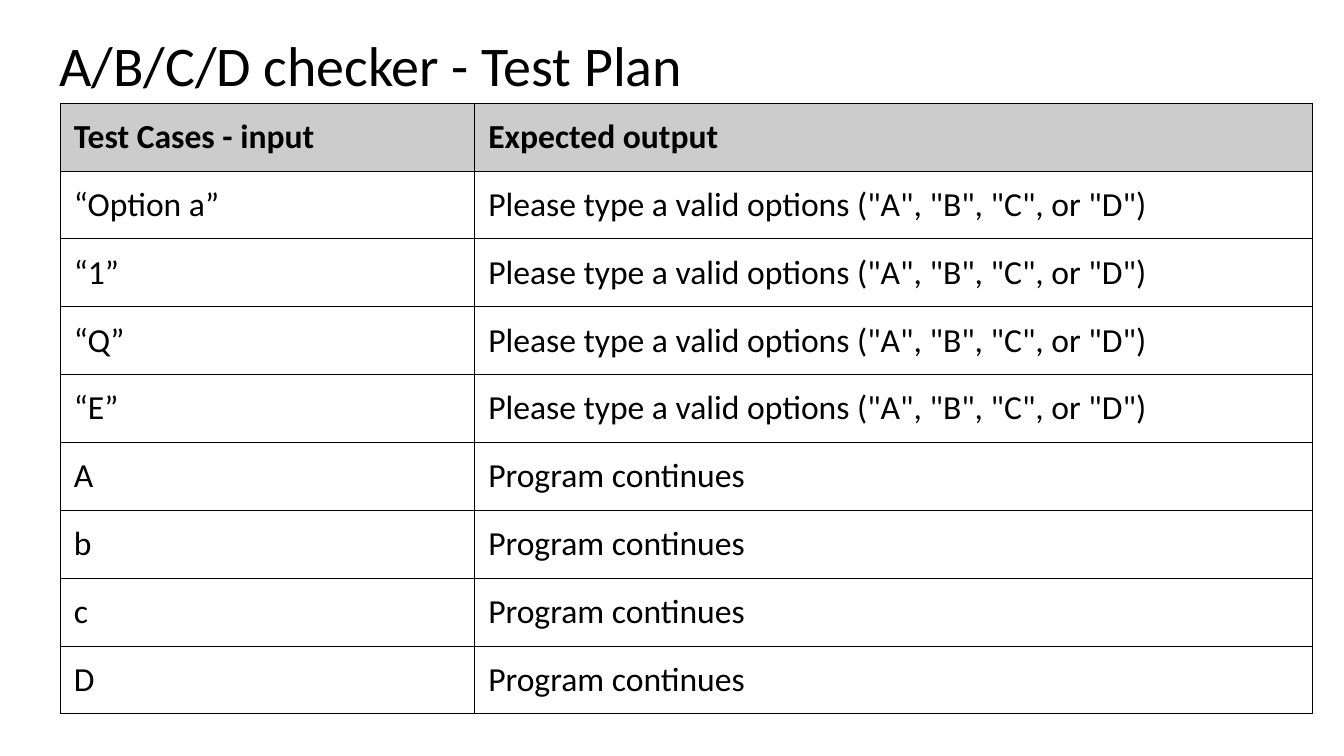
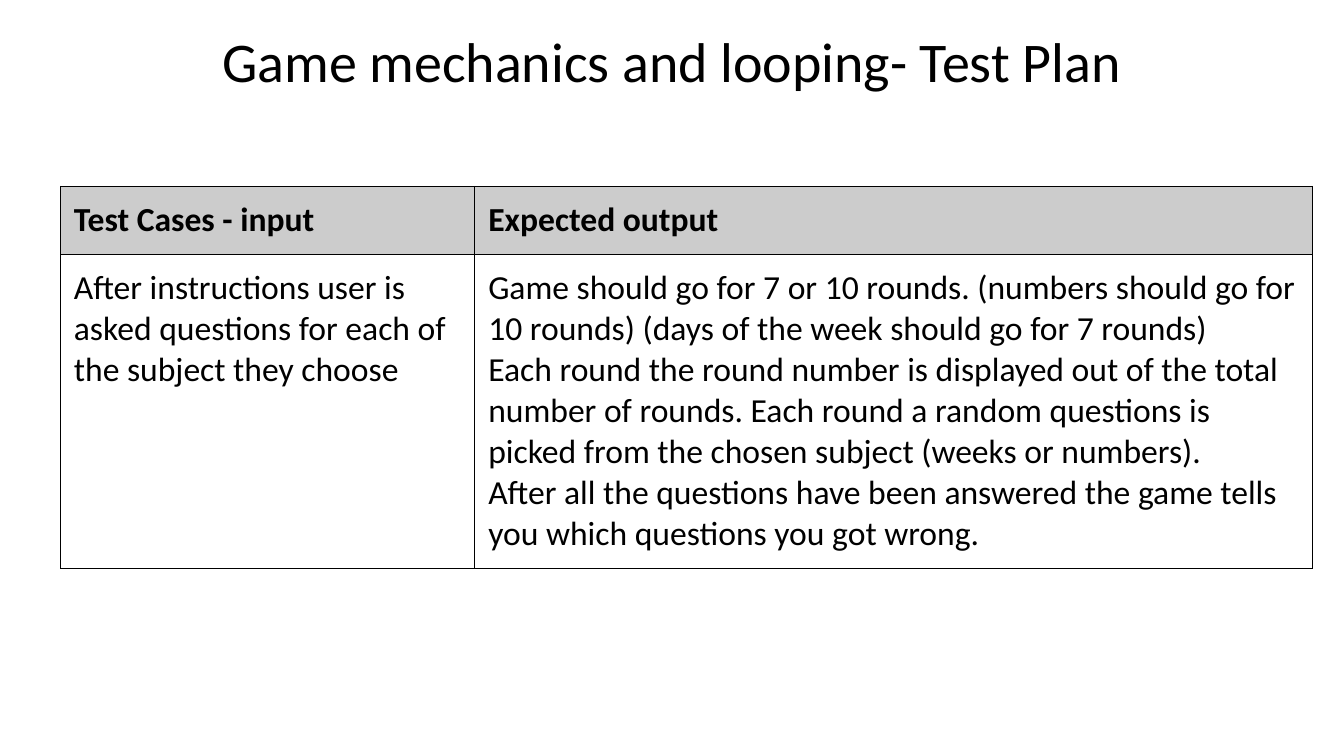
"""Build two test plan slides, each with a title and a bordered table."""
import pptx
import pptx.dml.color
import pptx.enum.text
import pptx.oxml
import pptx.oxml.ns
import pptx.util

Pt = pptx.util.Pt
PP_ALIGN = pptx.enum.text.PP_ALIGN
MSO_ANCHOR = pptx.enum.text.MSO_ANCHOR

COLOURS = {"text": "000000", "border": "000000", "header": "CCCCCC"}
FONT = "Calibri"
INSET = 9.6
TABLE_LEFT = 43.2
COLUMN_WIDTHS = (296, 598.3)
ROW_HEIGHT = 48.4
HEADER = ("Test Cases - input", "Expected output")
INVALID = 'Please type a valid options ("A", "B", "C", or "D")'
VALID = "Program continues"
CHECKER_ROWS = [(case, INVALID) for case in ("“Option a”", "“1”", "“Q”", "“E”")] + [
    (case, VALID) for case in "AbcD"
]
LOOPING_ROWS = [
    (
        "After instructions user is asked questions for each of the subject they choose",
        "Game should go for 7 or 10 rounds. (numbers should go for 10 rounds) "
        "(days of the week should go for 7 rounds)\n"
        "Each round the round number is displayed out of the total number of rounds. "
        "Each round a random questions is picked from the chosen subject (weeks or numbers).\n"
        "After all the questions have been answered the game tells you "
        "which questions you got wrong.",
    )
]


def rgb(name):
    """Return the named colour."""
    return pptx.dml.color.RGBColor.from_string(COLOURS[name])


def set_insets(holder):
    """Give a cell or text frame the shared inner margins."""
    holder.margin_left = holder.margin_right = Pt(INSET)
    holder.margin_top = holder.margin_bottom = Pt(INSET)


def format_paragraphs(text_frame, size, bold=False):
    """Apply the shared font to every paragraph."""
    for paragraph in text_frame.paragraphs:
        font = paragraph.font
        font.name, font.size, font.bold = FONT, Pt(size), bold
        font.color.rgb = rgb("text")


def add_title(slide, text, top, alignment):
    """Place and format the title placeholder."""
    title = slide.shapes.title
    title.left, title.top = Pt(32.7), Pt(top)
    title.width, title.height = Pt(894.3), Pt(60.1)
    frame = title.text_frame
    frame.text = text
    frame.word_wrap = True
    frame.auto_size = pptx.enum.text.MSO_AUTO_SIZE.NONE
    frame.vertical_anchor = MSO_ANCHOR.TOP
    set_insets(frame)
    format_paragraphs(frame, 40)
    frame.paragraphs[0].alignment = alignment
    frame.paragraphs[0].line_spacing = 0.9


def add_borders(cell):
    """Draw a thin line on all four sides of a cell."""
    properties = cell._tc.get_or_add_tcPr()
    for side in ("lnL", "lnR", "lnT", "lnB"):
        properties.append(pptx.oxml.parse_xml(
            f'<a:{side} {pptx.oxml.ns.nsdecls("a")} w="{Pt(0.75)}"><a:solidFill>'
            f'<a:srgbClr val="{COLOURS["border"]}"/></a:solidFill></a:{side}>'
        ))


def fill_cell(cell, text, is_header):
    """Write and format one table cell."""
    cell.text = text
    cell.vertical_anchor = MSO_ANCHOR.TOP
    set_insets(cell)
    format_paragraphs(cell.text_frame, 24, is_header)
    add_borders(cell)
    if is_header:
        cell.fill.solid()
        cell.fill.fore_color.rgb = rgb("header")
    else:
        cell.fill.background()


def add_test_table(slide, body_rows, top, body_height=ROW_HEIGHT):
    """Add a table of test cases below the shared header row."""
    rows = [HEADER, *body_rows]
    heights = [ROW_HEIGHT] + [body_height] * len(body_rows)
    table = slide.shapes.add_table(
        len(rows), len(HEADER), Pt(TABLE_LEFT), Pt(top),
        Pt(sum(COLUMN_WIDTHS)), Pt(sum(heights)),
    ).table
    table.first_row = table.horz_banding = False
    for column, width in zip(table.columns, COLUMN_WIDTHS):
        column.width = Pt(width)
    for row_index, (row, height) in enumerate(zip(rows, heights)):
        table.rows[row_index].height = Pt(height)
        for column_index, text in enumerate(row):
            fill_cell(table.cell(row_index, column_index), text, row_index == 0)


def main():
    """Build and save the presentation."""
    presentation = pptx.Presentation()
    presentation.slide_width, presentation.slide_height = Pt(960), Pt(540)
    title_only = presentation.slide_layouts[5]

    slide = presentation.slides.add_slide(title_only)
    add_title(slide, "A/B/C/D checker - Test Plan", 17.3, PP_ALIGN.LEFT)
    add_test_table(slide, CHECKER_ROWS, 73.7)

    slide = presentation.slides.add_slide(title_only)
    add_title(slide, "Game mechanics and looping- Test Plan", 15.1, PP_ALIGN.CENTER)
    add_test_table(slide, LOOPING_ROWS, 133.1, 224)

    presentation.save("out.pptx")


if __name__ == "__main__":
    main()
